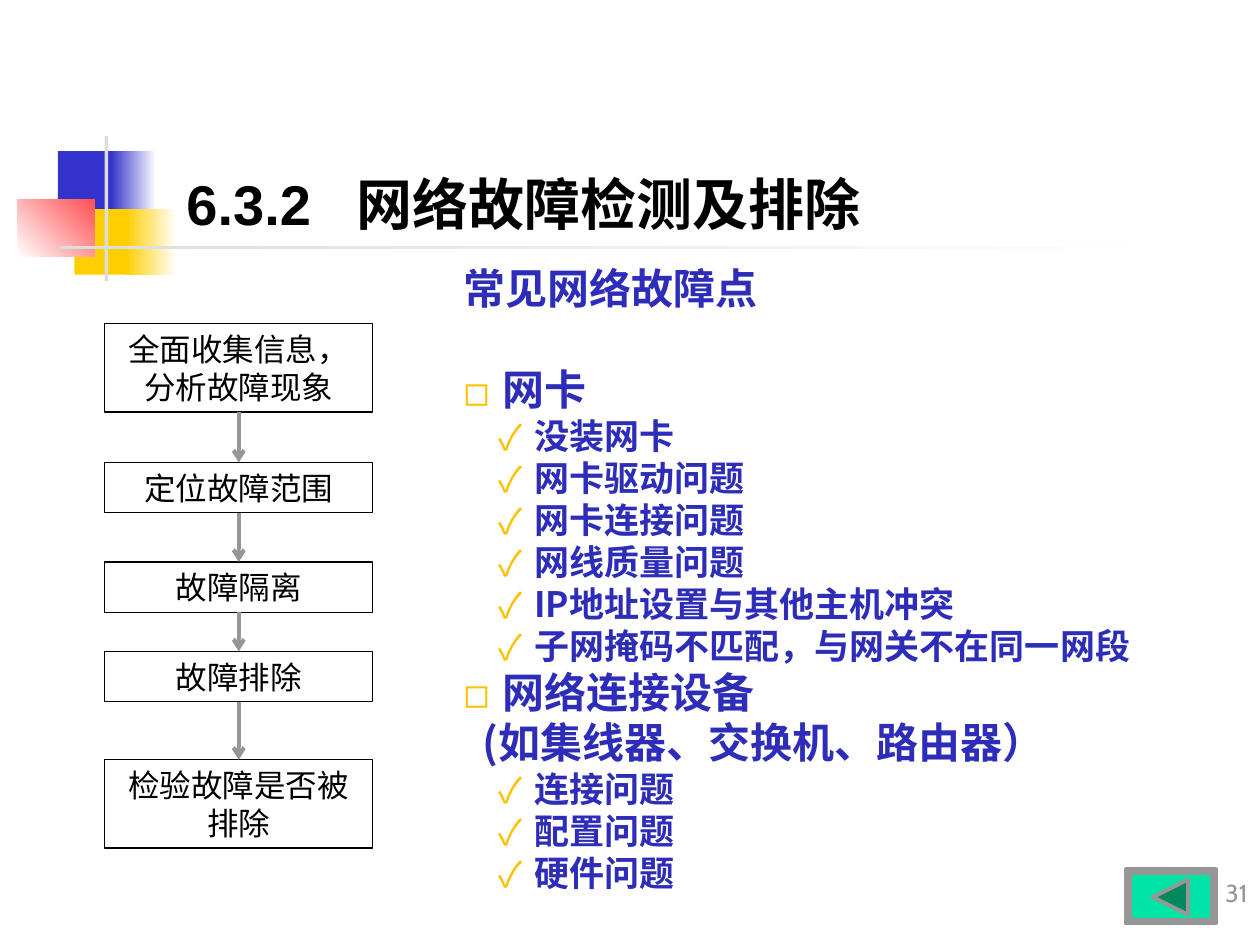
"""Build the slide on detecting and clearing network faults."""
from lxml import etree
from pptx import Presentation
from pptx.dml.color import RGBColor
from pptx.enum.shapes import MSO_CONNECTOR, MSO_SHAPE
from pptx.enum.text import MSO_ANCHOR, MSO_AUTO_SIZE, PP_ALIGN
from pptx.oxml.ns import qn
from pptx.util import Inches, Pt

RECT, BEVEL = MSO_SHAPE.RECTANGLE, MSO_SHAPE.BEVEL
TRIANGLE = MSO_SHAPE.ISOSCELES_TRIANGLE
STRAIGHT = MSO_CONNECTOR.STRAIGHT
TOP, BOTTOM = MSO_ANCHOR.TOP, MSO_ANCHOR.BOTTOM
LEFT, CENTER, RIGHT = PP_ALIGN.LEFT, PP_ALIGN.CENTER, PP_ALIGN.RIGHT
FIXED = MSO_AUTO_SIZE.NONE

COLORS = {
    "blue": "3333CC", "yellow": "FFCF01", "red": "FF5050", "white": "FFFFFF",
    "pale": "DDDDDD", "grey": "969696", "black": "000000", "text": "2D2DB9",
    "bullet": "FFC000", "button": "00E4A8", "arrow": "00885F",
}
CJK = "Noto Sans CJK SC"
TITLE = "6.3.2\t网络故障检测及排除"
PAGE = "31"
DECOR = [
    ((0.46, 1.2, 0.48, 0.52), ("blue",), 0),
    ((0.88, 1.2, 0.36, 0.52), ("blue", "white"), 0),
    ((0.59, 1.66, 0.46, 0.52), ("yellow",), 0),
    ((1, 1.66, 0.4, 0.52), ("yellow", "white"), 0),
    ((0.14, 1.58, 0.61, 0.46), ("white", "red"), 45),
    ((0.83, 1.08, 0.03, 1.15), ("pale",), 0),
    ((0.48, 1.95, 9, 0.03), ("pale", "white"), 0),
]
STEPS = [
    (2.57, 0.7, "全面收集信息，\n分析故障现象"),
    (3.67, 0.4, "定位故障范围"),
    (4.46, 0.4, "故障隔离"),
    (5.17, 0.4, "故障排除"),
    (6.03, 0.7, "检验故障是否被排除"),
]
STYLES = {
    "head": {"level": 0, "size": 24, "margin": 0, "hang": 0, "bullet": None},
    "group": {"level": 0, "size": 24, "margin": 0.31, "hang": 0.31, "bullet": "◻"},
    "note": {"level": 0, "size": 24, "margin": 0.15, "hang": 0, "bullet": None},
    "item": {"level": 1, "size": 20, "margin": 0.56, "hang": 0.28, "bullet": "✓"},
}
FAULTS = [
    ("head", "常见网络故障点"),
    ("group", "网卡"),
    ("item", "没装网卡"),
    ("item", "网卡驱动问题"),
    ("item", "网卡连接问题"),
    ("item", "网线质量问题"),
    ("item", "IP地址设置与其他主机冲突"),
    ("item", "子网掩码不匹配，与网关不在同一网段"),
    ("group", "网络连接设备"),
    ("note", "(如集线器、交换机、路由器）"),
    ("item", "连接问题"),
    ("item", "配置问题"),
    ("item", "硬件问题"),
]


def rgb(name):
    return RGBColor.from_string(COLORS[name])


def place(sp, box):
    sp.left, sp.top, sp.width, sp.height = map(Inches, box)


def add_shape(slide, kind, box, fills=(), line=None, width=0.75, angle=0):
    sp = slide.shapes.add_shape(kind, *map(Inches, box))
    sp.shadow.inherit = False
    if len(fills) == 2:
        sp.fill.gradient()
        sp.fill.gradient_angle = angle
        for stop, name in zip(sp.fill.gradient_stops, fills):
            stop.color.rgb = rgb(name)
    elif fills:
        sp.fill.solid()
        sp.fill.fore_color.rgb = rgb(fills[0])
    else:
        sp.fill.background()
    if line:
        sp.line.color.rgb = rgb(line)
        sp.line.width = Pt(width)
    else:
        sp.line.fill.background()
    return sp


def setup_frame(sp, anchor):
    tf = sp.text_frame
    tf.word_wrap = True
    tf.auto_size = FIXED
    tf.vertical_anchor = anchor
    return tf


def format_paragraph(p, size, font, color, align, bold=False):
    p.alignment = align
    p.line_spacing = Pt(round(size * 1.2, 1))
    p.space_before = p.space_after = Pt(0)
    for r in p.runs:
        r.font.size, r.font.name, r.font.bold = Pt(size), font, bold
        r.font.color.rgb = rgb(color)
        ea = etree.SubElement(r._r.get_or_add_rPr(), qn("a:ea"))
        ea.set("typeface", CJK)


def set_bullet(p, style):
    pPr = p._p.get_or_add_pPr()
    pPr.set("marL", str(Inches(style["margin"])))
    pPr.set("indent", str(-Inches(style["hang"])))
    if not style["bullet"]:
        etree.SubElement(pPr, qn("a:buNone"))
        return
    clr = etree.SubElement(pPr, qn("a:buClr"))
    etree.SubElement(clr, qn("a:srgbClr")).set("val", COLORS["bullet"])
    etree.SubElement(pPr, qn("a:buFont")).set("typeface", CJK)
    etree.SubElement(pPr, qn("a:buChar")).set("char", style["bullet"])


def add_title(slide):
    sp = slide.shapes.title
    place(sp, (1.38, 0.68, 6.54, 1.25))
    p = setup_frame(sp, BOTTOM).paragraphs[0]
    p.text = TITLE
    format_paragraph(p, 32, "Arial", "black", LEFT, True)
    tabs = etree.SubElement(p._p.get_or_add_pPr(), qn("a:tabLst"))
    etree.SubElement(tabs, qn("a:tab"), pos=str(Inches(1.35)), algn="l")


def add_faults(slide):
    sp = slide.placeholders[1]
    place(sp, (3.58, 2.1, 5.98, 5.04))
    tf = setup_frame(sp, BOTTOM)
    tf.text = "\n".join(text for _, text in FAULTS)
    for p, (kind, _) in zip(tf.paragraphs, FAULTS):
        style = STYLES[kind]
        p.level = style["level"]
        set_bullet(p, style)
        format_paragraph(p, style["size"], CJK, "text", LEFT, True)
    tf.paragraphs[1].space_before = Pt(29)


def add_flow(slide):
    boxes = []
    for top, height, text in STEPS:
        sp = add_shape(slide, RECT, (0.83, top, 2.13, height), line="black")
        tf = setup_frame(sp, TOP)
        tf.text = text
        for p in tf.paragraphs:
            format_paragraph(p, 18, CJK, "black", CENTER)
        boxes.append(sp)
    for upper, lower in zip(boxes, boxes[1:]):
        cx = slide.shapes.add_connector(STRAIGHT, 0, 0, 0, 0)
        cx.begin_connect(upper, 2)
        cx.end_connect(lower, 0)
        cx.line.color.rgb = rgb("grey")
        cx.line.width = Pt(2.25)
        etree.SubElement(cx.line._get_or_add_ln(), qn("a:tailEnd"), type="arrow")
        etree.SubElement(cx._element.spPr, qn("a:effectLst"))


def add_footer(slide):
    sp = slide.shapes.add_textbox(*map(Inches, (7.92, 6.75, 2.08, 0.5)))
    p = setup_frame(sp, BOTTOM).paragraphs[0]
    p.text = PAGE
    format_paragraph(p, 14, "Cabin", "grey", RIGHT)
    button = add_shape(slide, BEVEL, (8.94, 6.9, 0.71, 0.43), ("button",), "grey", 2.25)
    button.adjustments[0] = 0.07
    back = add_shape(slide, TRIANGLE, (9.15, 6.98, 0.28, 0.28), ("arrow",), "grey", 2.25)
    back.rotation = 270


def main():
    prs = Presentation()
    prs.slide_width, prs.slide_height = Inches(10), Inches(7.5)
    slide = prs.slides.add_slide(prs.slide_layouts[1])
    for box, fills, angle in DECOR:
        add_shape(slide, RECT, box, fills, angle=angle)
    add_title(slide)
    add_faults(slide)
    add_footer(slide)
    add_flow(slide)
    prs.save("out.pptx")


if __name__ == "__main__":
    main()
